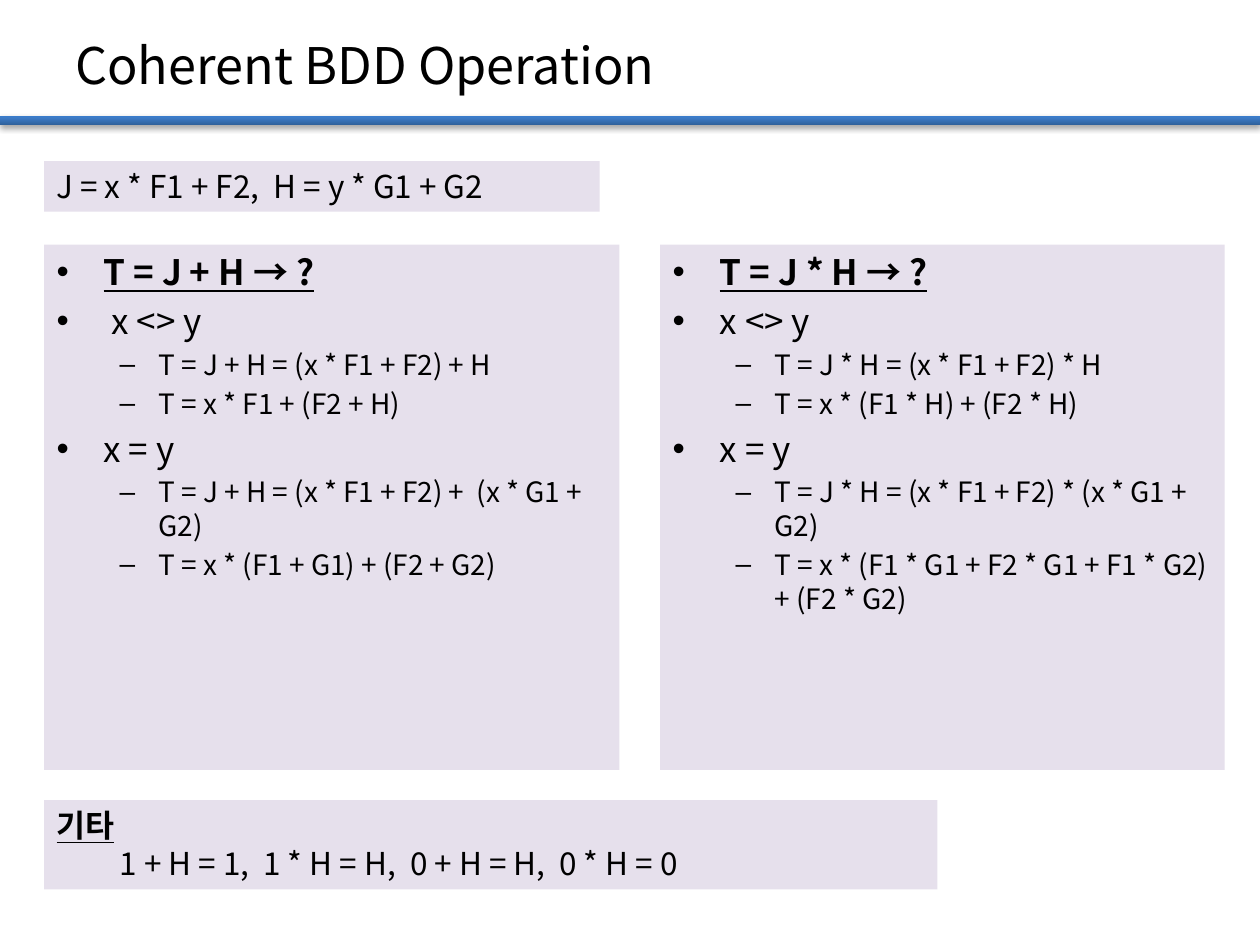
from lxml import etree
from pptx import Presentation
from pptx.dml.color import RGBColor
from pptx.enum import shapes, text
from pptx.oxml import parse_xml
from pptx.oxml.ns import nsdecls, qn
from pptx.util import Cm, Pt

FONT = "Noto Sans CJK KR"
BLACK, LILAC = "000000", "E6E0EC"
LEFT = 0.89
HEAD = dict(size=20, bold=True, level=0)
CASE = dict(size=20, level=0)
STEP = dict(size=16, level=1)
# bullet, left margin and hanging indent in cm for each level
LEVELS = [("•", 0.95, 0.95), ("–", 2.06, 0.79)]

TITLE = [("Coherent BDD Operation", dict(size=28.8))]
GIVEN = [("J = x * F1 + F2,  H = y * G1 + G2\u00a0", dict(size=18))]
SUM = [
    ("T = J + H → ?", HEAD),
    ("\u00a0x <> y", CASE),
    ("T = J + H = (x * F1 + F2) + H", STEP),
    ("T = x * F1 + (F2 + H)", STEP),
    ("x = y", CASE),
    ("T = J + H = (x * F1 + F2) +  (x * G1 + G2)", STEP),
    ("T = x * (F1 + G1) + (F2 + G2)", STEP),
]
PRODUCT = [
    ("T = J * H → ?", HEAD),
    ("x <> y", CASE),
    ("T = J * H = (x * F1 + F2) * H", STEP),
    ("T = x * (F1 * H) + (F2 * H)", STEP),
    ("x = y", CASE),
    ("T = J * H = (x * F1 + F2) * (x * G1 + G2)", STEP),
    ("T = x * (F1 * G1 + F2 * G1 + F1 * G2) + (F2 * G2)", STEP),
]
OTHERS = [
    ("기타", dict(size=18, bold=True)),
    ("\t1 + H = 1,  1 * H = H,  0 + H = H,  0 * H = 0", dict(size=18)),
]
# paragraphs, (left, top, width, height) in cm, fill, anchor
TOP, MIDDLE = text.MSO_ANCHOR.TOP, text.MSO_ANCHOR.MIDDLE
BOXES = [
    (TITLE, (1.27, 0.53, 22.86, 1.55), None, MIDDLE),
    (SUM, (LEFT, 4.93, 11.6, 10.59), LILAC, TOP),
    (PRODUCT, (13.31, 4.93, 11.38, 10.59), LILAC, TOP),
    (GIVEN, (LEFT, 3.25, 11.2, 1.02), LILAC, TOP),
    (OTHERS, (LEFT, 16.13, 18.01, 1.8), LILAC, TOP),
]
BAR_STOPS = [(0, "2F5F99"), (80, "3D7CC7"), (100, "3A7CCB")]


def rgb(color):
    """Turn a hex string into a colour."""
    return RGBColor.from_string(color)


def add_paragraph(p, words, size, bold=False, level=None):
    """Write one paragraph; bold headings are underlined, levels get bullets."""
    r = p.add_run()
    r.text = words
    r.font.size, r.font.name = Pt(size), FONT
    r.font.bold = r.font.underline = bold
    r.font.color.rgb = rgb(BLACK)
    etree.SubElement(r.font._element, qn("a:ea")).set("typeface", FONT)
    if level is None:
        return
    bullet, margin, hang = LEVELS[level]
    p.level = level
    p.space_before = Pt(size * 0.2)
    pPr = p._p.get_or_add_pPr()
    pPr.set("marL", str(Cm(margin)))
    pPr.set("indent", str(Cm(-hang)))
    etree.SubElement(pPr, qn("a:buFont")).set("typeface", "Arial")
    etree.SubElement(pPr, qn("a:buChar")).set("char", bullet)


def add_box(slide, paragraphs, place, fill, anchor):
    """Add a text box with its paragraphs and optional fill."""
    sp = slide.shapes.add_textbox(*map(Cm, place))
    if fill:
        sp.fill.solid()
        sp.fill.fore_color.rgb = rgb(fill)
    tf = sp.text_frame
    tf.word_wrap = True
    tf.vertical_anchor = anchor
    for i, (words, style) in enumerate(paragraphs):
        p = tf.add_paragraph() if i else tf.paragraphs[0]
        add_paragraph(p, words, **style)


def add_bar(slide):
    """Add the shaded bar with its soft shadow under the title."""
    sp = slide.shapes.add_shape(
        shapes.MSO_SHAPE.RECTANGLE, 0, Cm(2.33), Cm(25.4), Cm(0.2))
    sp.line.fill.background()
    stops = "".join(
        f'<a:gs pos="{pos * 1000}"><a:srgbClr val="{color}"/></a:gs>'
        for pos, color in BAR_STOPS)
    spPr = sp._element.spPr
    spPr.insert(2, parse_xml(
        f'<a:gradFill {nsdecls("a")} rotWithShape="1"><a:gsLst>{stops}</a:gsLst>'
        '<a:lin ang="16200000" scaled="0"/></a:gradFill>'))
    spPr.append(parse_xml(
        f'<a:effectLst {nsdecls("a")}><a:outerShdw blurRad="{Pt(3.1)}" '
        f'dist="{Pt(1.8)}" dir="5400000" rotWithShape="0">'
        f'<a:srgbClr val="{BLACK}"><a:alpha val="35000"/></a:srgbClr>'
        '</a:outerShdw></a:effectLst>'))


prs = Presentation()
prs.slide_width, prs.slide_height = Cm(25.4), Cm(19.05)
slide = prs.slides.add_slide(prs.slide_layouts[6])
add_bar(slide)
for box in BOXES:
    add_box(slide, *box)
prs.save("out.pptx")
